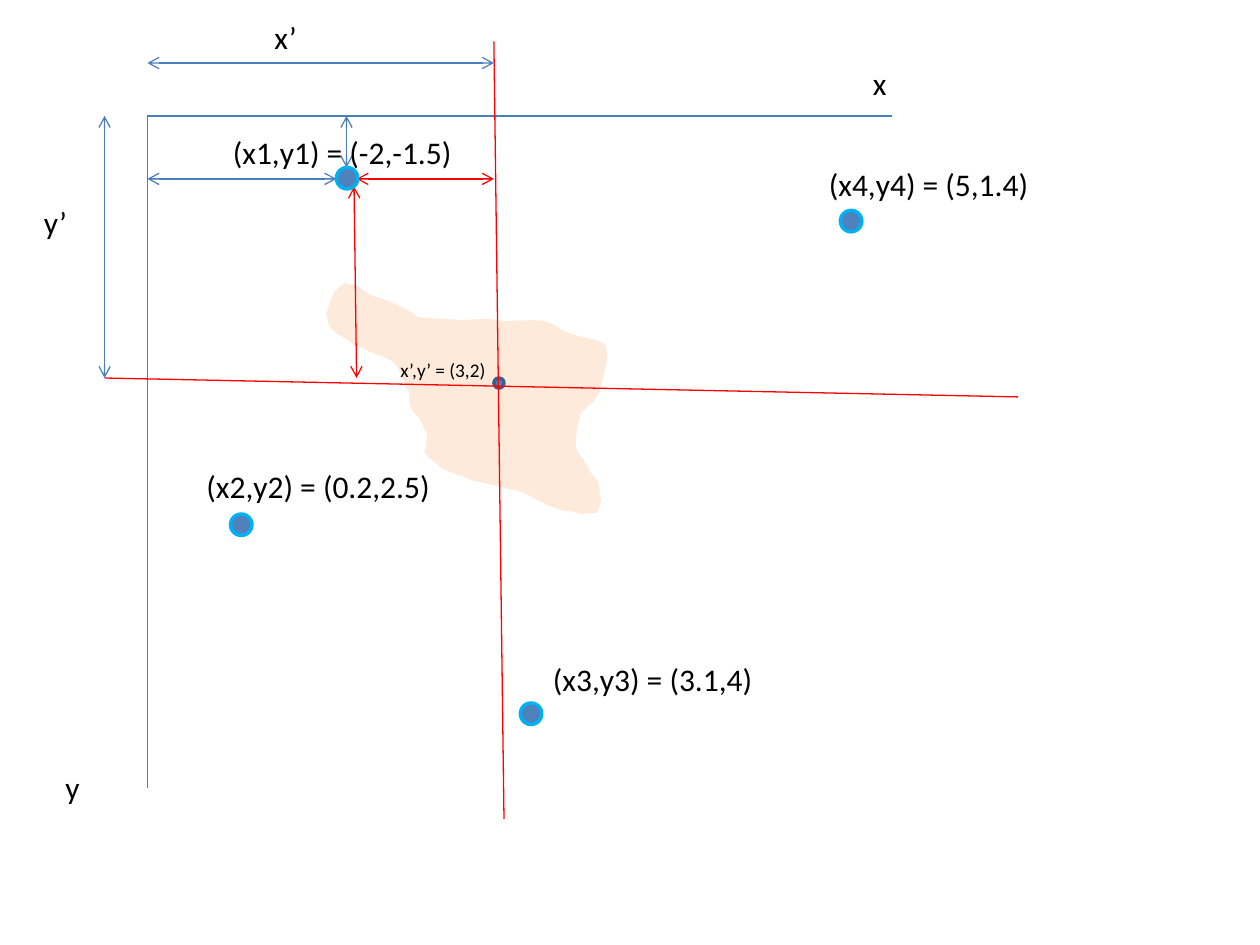
from lxml import etree
from pptx import Presentation
from pptx.dml.color import RGBColor
from pptx.enum.shapes import MSO_CONNECTOR as Connector, MSO_SHAPE as Shape
from pptx.oxml.ns import qn
from pptx.util import Inches, Pt

BLUE = RGBColor(0x4B, 0x7E, 0xBC)
DOT_BLUE = RGBColor(0x4F, 0x81, 0xBD)
DARK_BLUE = RGBColor(0x3A, 0x5F, 0x8C)
CYAN = RGBColor(0x00, 0xB0, 0xF0)
RED = RGBColor(0xFF, 0x00, 0x00)
PEACH = RGBColor(0xFD, 0xEA, 0xDA)
BLACK = RGBColor(0x00, 0x00, 0x00)

LEFT, TOP = 1.17, 0.92
CENTER_X, CENTER_Y = 3.92, 3
POINT_SIZE, CENTER_SIZE = 0.17, 0.08

AXES = [
    ((LEFT, TOP), (LEFT, 6.25), BLUE),
    ((LEFT, TOP), (7.08, TOP), BLUE),
]
CENTER_LINES = [
    ((CENTER_X, 0.33), (4, 6.5), RED),
    ((0.83, CENTER_Y), (8.08, 3.15), RED),
]
DISTANCES = [
    ((LEFT, 0.5), (CENTER_X, 0.5), BLUE),
    ((0.83, TOP), (0.83, CENTER_Y), BLUE),
    ((2.75, TOP), (2.75, 1.33), BLUE),
    ((LEFT, 1.42), (2.67, 1.42), BLUE),
    ((CENTER_X, 1.42), (2.83, 1.42), RED),
    ((2.83, CENTER_Y), (2.81, 1.48), RED),
]
POINTS = [(2.67, 1.33), (1.83, 4.08), (4.13, 5.58), (6.67, 1.67)]
LABELS = [
    ("x’", 2.08, 0.09, 0.83, 18),
    ("y’", 0.25, 1.56, 0.83, 18),
    ("x’,y’ = (3,2)", 3.08, 2.79, 1.5, 11),
    ("x", 6.83, 0.46, 0.83, 18),
    ("y", 0.42, 6.05, 0.83, 18),
    ("(x1,y1) = (-2,-1.5)", 1.75, 1.01, 2.38, 18),
    ("(x2,y2) = (0.2,2.5)", 1.54, 3.66, 2.38, 18),
    ("(x3,y3) = (3.1,4)", 4.29, 5.19, 2.38, 18),
    ("(x4,y4) = (5,1.4)", 6.48, 1.26, 2.38, 18),
]
REGION = [
    (2.77, 2.22), (2.68, 2.29), (2.65, 2.32), (2.62, 2.4), (2.59, 2.48),
    (2.61, 2.58), (2.65, 2.63), (2.73, 2.68), (2.76, 2.7), (2.83, 2.75),
    (2.88, 2.76), (2.93, 2.79), (3.04, 2.83), (3.12, 2.87), (3.15, 2.9),
    (3.2, 3.01), (3.22, 3.07), (3.25, 3.11), (3.25, 3.21), (3.29, 3.28),
    (3.33, 3.32), (3.39, 3.45), (3.38, 3.55), (3.37, 3.58), (3.38, 3.61),
    (3.43, 3.65), (3.51, 3.72), (3.58, 3.75), (3.67, 3.78), (3.74, 3.81),
    (3.87, 3.84), (3.99, 3.87), (4.08, 3.89), (4.13, 3.9), (4.2, 3.93),
    (4.24, 3.96), (4.29, 3.98), (4.37, 4.02), (4.46, 4.05), (4.54, 4.06),
    (4.61, 4.08), (4.74, 4.07), (4.77, 3.98), (4.75, 3.83), (4.72, 3.79),
    (4.68, 3.74), (4.67, 3.71), (4.63, 3.65), (4.58, 3.58), (4.57, 3.52),
    (4.58, 3.4), (4.61, 3.28), (4.66, 3.23), (4.71, 3.19), (4.76, 3.11),
    (4.78, 3.02), (4.79, 2.99), (4.81, 2.9), (4.82, 2.85), (4.81, 2.74),
    (4.78, 2.72), (4.73, 2.7), (4.65, 2.68), (4.56, 2.66), (4.46, 2.62),
    (4.4, 2.58), (4.33, 2.55), (4.23, 2.54), (4.02, 2.55), (3.93, 2.54),
    (3.88, 2.53), (3.66, 2.54), (3.32, 2.52), (3.28, 2.49), (3.23, 2.46),
    (3.17, 2.43), (3.11, 2.4), (3.06, 2.38), (2.99, 2.36), (2.92, 2.33),
    (2.87, 2.29), (2.81, 2.26), (2.73, 2.25),
]

presentation = Presentation()
presentation.slide_width, presentation.slide_height = Inches(10), Inches(7.5)
slide = presentation.slides.add_slide(presentation.slide_layouts[6])
shapes = slide.shapes


def add_line(start, end, color, arrows=False):
    line = shapes.add_connector(
        Connector.STRAIGHT, *[Inches(value) for value in start + end]
    )
    line.line.color.rgb = color
    line.line.width = Pt(0.75)
    if arrows:
        outline = line.line._get_or_add_ln()
        for tag in ("a:headEnd", "a:tailEnd"):
            etree.SubElement(outline, qn(tag), type="arrow")
    etree.SubElement(line._element.spPr, qn("a:effectLst"))


def add_dot(left, top, size, outline):
    dot = shapes.add_shape(
        Shape.OVAL, Inches(left), Inches(top), Inches(size), Inches(size)
    )
    dot.shadow.inherit = False
    dot.fill.solid()
    dot.fill.fore_color.rgb = DOT_BLUE
    dot.line.color.rgb = outline
    dot.line.width = Pt(2)


def add_label(text, left, top, width, size):
    height = 0.4 if size == 18 else 0.29
    label = shapes.add_textbox(
        Inches(left), Inches(top), Inches(width), Inches(height)
    )
    label.text_frame.word_wrap = True
    label.text_frame.text = text
    font = label.text_frame.paragraphs[0].runs[0].font
    font.name = "Calibri"
    font.size = Pt(size)
    font.color.rgb = BLACK


def add_region(points):
    corners = [(Inches(x), Inches(y)) for x, y in points]
    builder = shapes.build_freeform(*corners[0])
    builder.add_line_segments(corners[1:], close=True)
    region = builder.convert_to_shape()
    region.shadow.inherit = False
    region.fill.solid()
    region.fill.fore_color.rgb = PEACH
    region.line.fill.background()


for axis in AXES:
    add_line(*axis)
add_region(REGION)
add_dot(CENTER_X, CENTER_Y, CENTER_SIZE, DARK_BLUE)
for center_line in CENTER_LINES:
    add_line(*center_line)
for distance in DISTANCES:
    add_line(*distance, arrows=True)
for left, top in POINTS:
    add_dot(left, top, POINT_SIZE, CYAN)
for label in LABELS:
    add_label(*label)

presentation.save("out.pptx")
